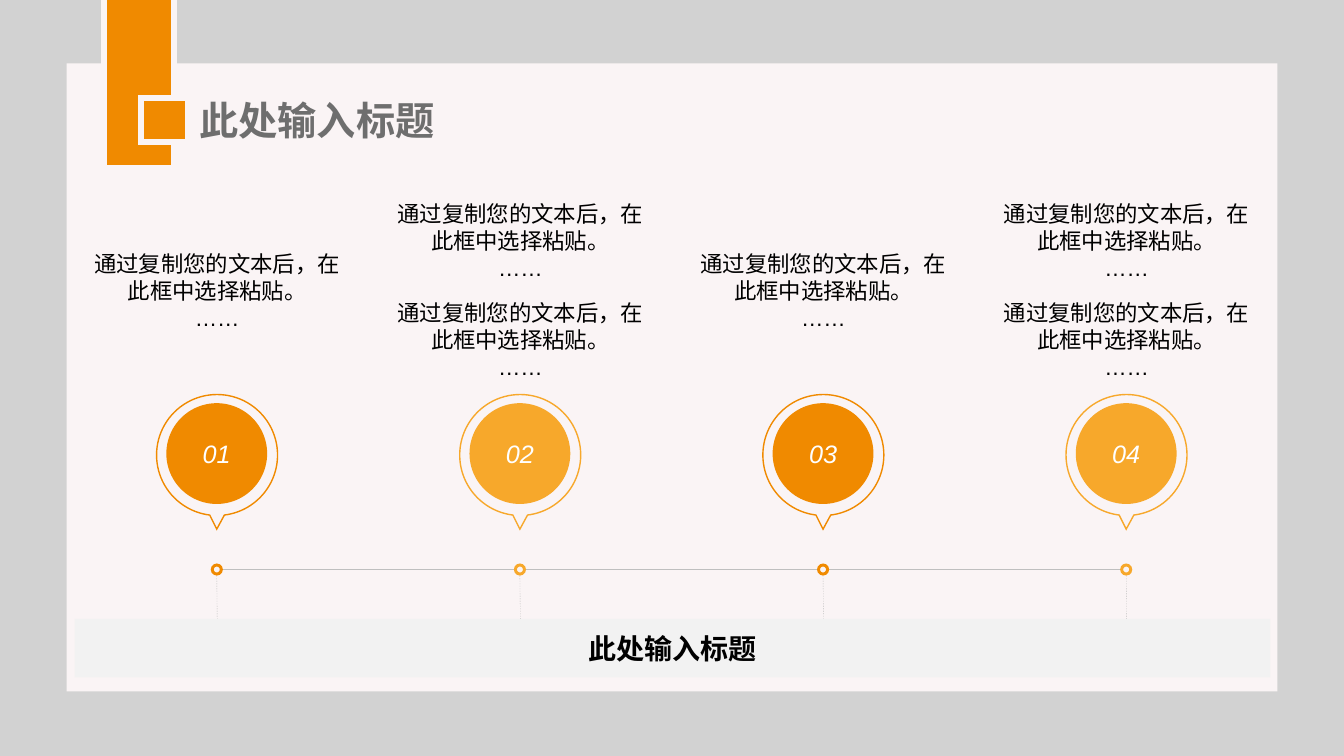
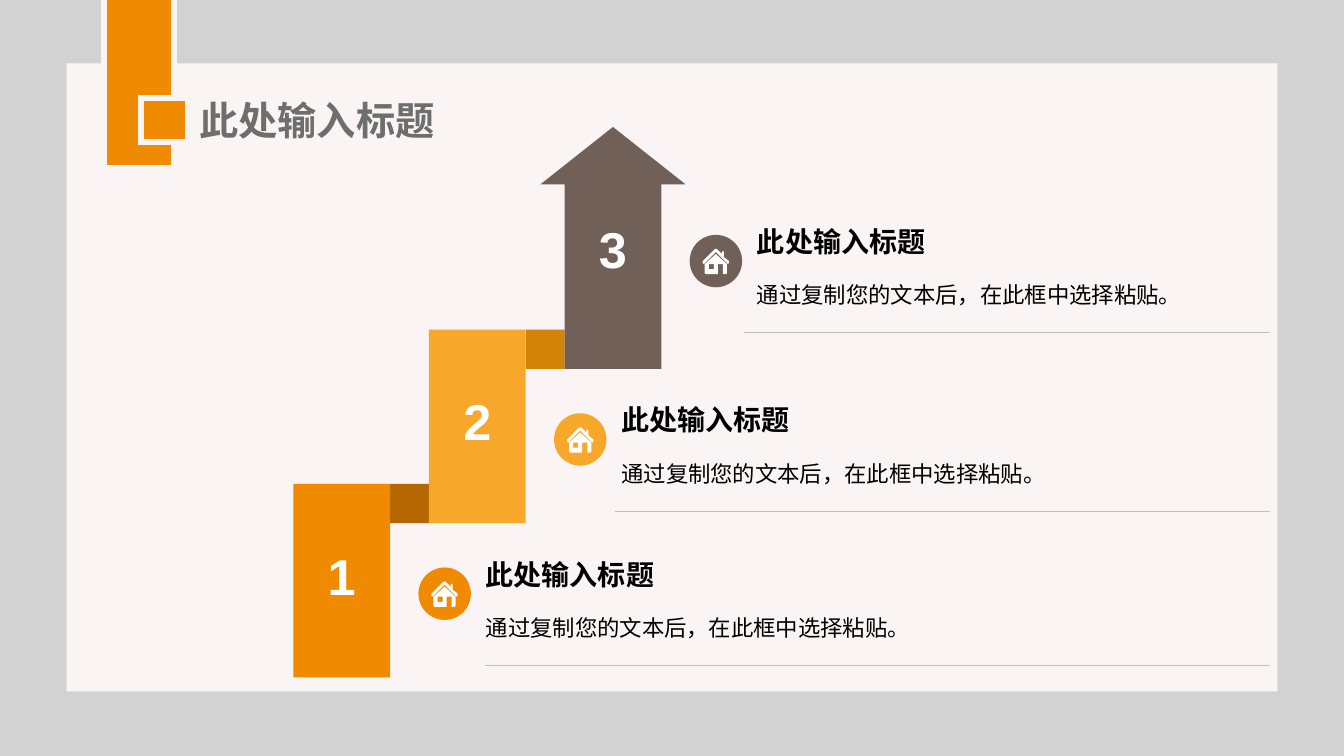
"""Build two slides: a four-point timeline and a three-step staircase."""
import lxml.etree
import pptx
import pptx.dml.color
import pptx.enum.dml
import pptx.enum.shapes
import pptx.enum.text
import pptx.oxml.ns
import pptx.util

Inches = pptx.util.Inches
qn = pptx.oxml.ns.qn
SHAPE = pptx.enum.shapes.MSO_SHAPE
STRAIGHT = pptx.enum.shapes.MSO_CONNECTOR.STRAIGHT
ALIGN = pptx.enum.text.PP_ALIGN
ANCHOR = pptx.enum.text.MSO_ANCHOR


class Theme:
    font = "Arial"
    backdrop = "D2D2D2"
    panel = "FAF4F5"
    bar = "F2F2F2"
    orange = "F08A00"
    amber = "F7A82B"
    brown = "706058"
    dark_orange = "B46700"
    dark_amber = "D28308"
    rule = "BFBFBF"
    title = "6E6E6E"
    black = "000000"
    white = "FFFFFF"
    title_size = 28
    number_size = 36
    heading_size = 20
    pin_size = 18
    body_size = 16
    rule_width = 0.25


def paint(shape, fill=None, line=None, width=1, dash=None):
    if hasattr(shape, "fill"):
        shape.shadow.inherit = False
        if fill:
            shape.fill.solid()
            shape.fill.fore_color.rgb = pptx.dml.color.RGBColor.from_string(fill)
        else:
            shape.fill.background()
    if line:
        shape.line.color.rgb = pptx.dml.color.RGBColor.from_string(line)
        shape.line.width = pptx.util.Pt(width)
        if dash:
            shape.line.dash_style = dash
        outline = shape.element.spPr.find(qn("a:ln"))
        lxml.etree.SubElement(outline, qn("a:miter"), lim="800000")
    else:
        shape.line.fill.background()
    if not hasattr(shape, "fill"):
        lxml.etree.SubElement(shape.element.spPr, qn("a:effectLst"))


def write(shape, text, size=Theme.body_size, color=Theme.black, bold=False, italic=False,
          align=ALIGN.CENTER, anchor=ANCHOR.MIDDLE, spacing=None):
    frame = shape.text_frame
    frame.word_wrap = True
    frame.vertical_anchor = anchor
    frame.text = text
    for paragraph in frame.paragraphs:
        paragraph.alignment = align
        if spacing:
            paragraph.line_spacing = spacing
        font = paragraph.font
        font.name = Theme.font
        font.size = pptx.util.Pt(size)
        font.bold = bold
        font.italic = italic
        font.color.rgb = pptx.dml.color.RGBColor.from_string(color)


heading = "此处输入标题"
body = "通过复制您的文本后，在此框中选择粘贴。"

presentation = pptx.Presentation()
presentation.slide_width = Inches(13.33)
presentation.slide_height = Inches(7.5)
blank = presentation.slide_layouts[6]
timeline_slide = presentation.slides.add_slide(blank)
stairs_slide = presentation.slides.add_slide(blank)

master_tree = presentation.slide_master.element.cSld.spTree
for left, top, width, height, fill in [
    (0, 0, 13.33, 7.5, Theme.backdrop),
    (0.66, 0.63, 12.01, 6.23, Theme.panel),
]:
    layer = timeline_slide.shapes.add_shape(
        SHAPE.RECTANGLE, Inches(left), Inches(top), Inches(width), Inches(height))
    paint(layer, fill)
    master_tree.append(layer.element)

shapes = timeline_slide.shapes
first_x, last_x = 2.15, 11.17
pitch = (last_x - first_x) / 3
pin_y, pin_radius, tip_y = 4.51, 0.6, 5.25
axis_y, dot_radius = 5.65, 0.06
pin_points = [(-0.07, 0.6), (-0.6, 0), (0, -0.6), (0.6, 0), (0.07, 0.6)]
pin_arcs = [(97, 83), (180, 90), (270, 90), (0, 83)]
points = [
    ("01", Theme.orange, [2.43]),
    ("02", Theme.amber, [1.94, 2.92]),
    ("03", Theme.orange, [2.43]),
    ("04", Theme.amber, [1.94, 2.92]),
]
for index, (number, color, text_tops) in enumerate(points):
    x = first_x + index * pitch
    for top in text_tops:
        note = shapes.add_textbox(Inches(x - 1.41), Inches(top), Inches(2.83), Inches(0.89))
        write(note, body + "\n……", anchor=ANCHOR.TOP)

    drop = shapes.add_connector(
        STRAIGHT, Inches(x), Inches(axis_y + dot_radius), Inches(x + 0.01), Inches(6.72))
    paint(drop, line=Theme.rule, width=Theme.rule_width, dash=pptx.enum.dml.MSO_LINE.DASH)
    if index < len(points) - 1:
        axis = shapes.add_connector(
            STRAIGHT, Inches(x + dot_radius), Inches(axis_y),
            Inches(x + pitch - dot_radius), Inches(axis_y))
        paint(axis, line=Theme.rule, width=Theme.rule_width)

    builder = shapes.build_freeform(Inches(x), Inches(tip_y))
    builder.add_line_segments(
        [(Inches(x + across), Inches(pin_y + down)) for across, down in pin_points], close=True)
    pin = builder.convert_to_shape()
    segments = list(pin.element.iter(qn("a:lnTo")))
    for segment, (start, sweep) in zip(segments[1:], pin_arcs):
        arc = lxml.etree.Element(
            qn("a:arcTo"), wR=str(Inches(pin_radius)), hR=str(Inches(pin_radius)),
            stAng=str(start * 60000), swAng=str(sweep * 60000))
        segment.getparent().replace(segment, arc)
    paint(pin, line=color)

    disc = shapes.add_shape(
        SHAPE.OVAL, Inches(x - 0.5), Inches(4), Inches(1), Inches(1))
    paint(disc, color)
    write(disc, number, size=Theme.pin_size, color=Theme.white, italic=True)
    dot = shapes.add_shape(
        SHAPE.DONUT, Inches(x - dot_radius), Inches(axis_y - dot_radius),
        Inches(2 * dot_radius), Inches(2 * dot_radius))
    paint(dot, color)

bar = shapes.add_shape(
    SHAPE.RECTANGLE, Inches(0.74), Inches(6.14), Inches(11.86), Inches(0.58))
paint(bar, Theme.bar)
write(bar, heading, size=Theme.heading_size, bold=True)

shapes = stairs_slide.shapes
first_left, last_left = 2.91, 5.6
step_pitch = (last_left - first_left) / 2
step_width, step_height = 0.96, 1.92
arrow = [(0, 2.4), (0, 0.57), (-0.24, 0.57), (0.48, 0), (1.2, 0.57), (0.96, 0.57), (0.96, 2.4)]
house = [
    [(0.13, 0), (0.14, 0), (0.19, 0.05), (0.19, 0.03), (0.2, 0.02), (0.21, 0.03), (0.21, 0.08),
     (0.26, 0.12), (0.26, 0.14), (0.25, 0.15), (0.13, 0.03), (0.02, 0.14), (0.01, 0.15),
     (0, 0.14), (0, 0.12), (0.12, 0)],
    [(0.13, 0.05), (0.24, 0.15), (0.24, 0.24), (0.23, 0.25), (0.2, 0.25), (0.2, 0.15),
     (0.15, 0.15), (0.15, 0.25), (0.03, 0.25), (0.02, 0.24), (0.02, 0.15)],
    [(0.06, 0.15), (0.06, 0.2), (0.11, 0.2), (0.11, 0.15)],
]
steps = [
    ("1", 4.8, Theme.orange, Theme.dark_orange, 5.63, 4.81),
    ("2", 3.27, Theme.amber, Theme.dark_amber, 4.1, 6.1),
    ("3", 1.26, Theme.brown, None, 2.33, 7.38),
]
for index, (number, top, color, joint_color, icon_top, rule_left) in enumerate(steps):
    left = first_left + index * step_pitch
    if joint_color:
        joint = shapes.add_shape(
            SHAPE.RECTANGLE, Inches(left + step_width), Inches(top),
            Inches(step_pitch - step_width), Inches(0.39))
        paint(joint, joint_color)
        step = shapes.add_shape(
            SHAPE.RECTANGLE, Inches(left), Inches(top), Inches(step_width), Inches(step_height))
    else:
        corners = [(Inches(left + x), Inches(top + y)) for x, y in arrow]
        builder = shapes.build_freeform(*corners[0])
        builder.add_line_segments(corners[1:], close=True)
        step = builder.convert_to_shape()
    paint(step, color)
    write(step, number, size=Theme.number_size, color=Theme.white, bold=True,
          spacing=0.8 if joint_color else None)

    icon_left = left + 1.24
    disc = shapes.add_shape(
        SHAPE.OVAL, Inches(icon_left), Inches(icon_top), Inches(0.52), Inches(0.52))
    paint(disc, color)
    roof, *openings = [
        [(Inches(icon_left + 0.13 + x), Inches(icon_top + 0.14 + y)) for x, y in contour]
        for contour in house]
    builder = shapes.build_freeform(*roof[0])
    builder.add_line_segments(roof[1:], close=True)
    for contour in openings:
        builder.move_to(*contour[0])
        builder.add_line_segments(contour[1:], close=True)
    paint(builder.convert_to_shape(), Theme.white)

    text_left = icon_left + 0.57
    detail = shapes.add_textbox(
        Inches(text_left), Inches(icon_top + 0.28), Inches(4.36), Inches(0.69))
    write(detail, body, align=ALIGN.LEFT, anchor=ANCHOR.TOP, spacing=1.5)
    label = shapes.add_textbox(
        Inches(text_left), Inches(icon_top - 0.22), Inches(3.64), Inches(0.5))
    write(label, heading, size=Theme.heading_size, bold=True, align=ALIGN.LEFT,
          anchor=ANCHOR.BOTTOM, spacing=1.2)
    rule_y = icon_top + 0.97
    rule = shapes.add_connector(
        STRAIGHT, Inches(rule_left), Inches(rule_y), Inches(12.6), Inches(rule_y))
    paint(rule, line=Theme.rule, width=Theme.rule_width)

for slide in presentation.slides:
    for left, top, width, height in [(1.03, -0.22, 0.7, 1.89), (1.4, 0.97, 0.47, 0.44)]:
        ribbon = slide.shapes.add_shape(
            SHAPE.RECTANGLE, Inches(left), Inches(top), Inches(width), Inches(height))
        paint(ribbon, Theme.orange, Theme.panel, 4.5)
    title = slide.shapes.add_textbox(Inches(1.88), Inches(1), Inches(3.16), Inches(0.38))
    write(title, heading, size=Theme.title_size, color=Theme.title, bold=True, align=ALIGN.LEFT)

presentation.save("out.pptx")
